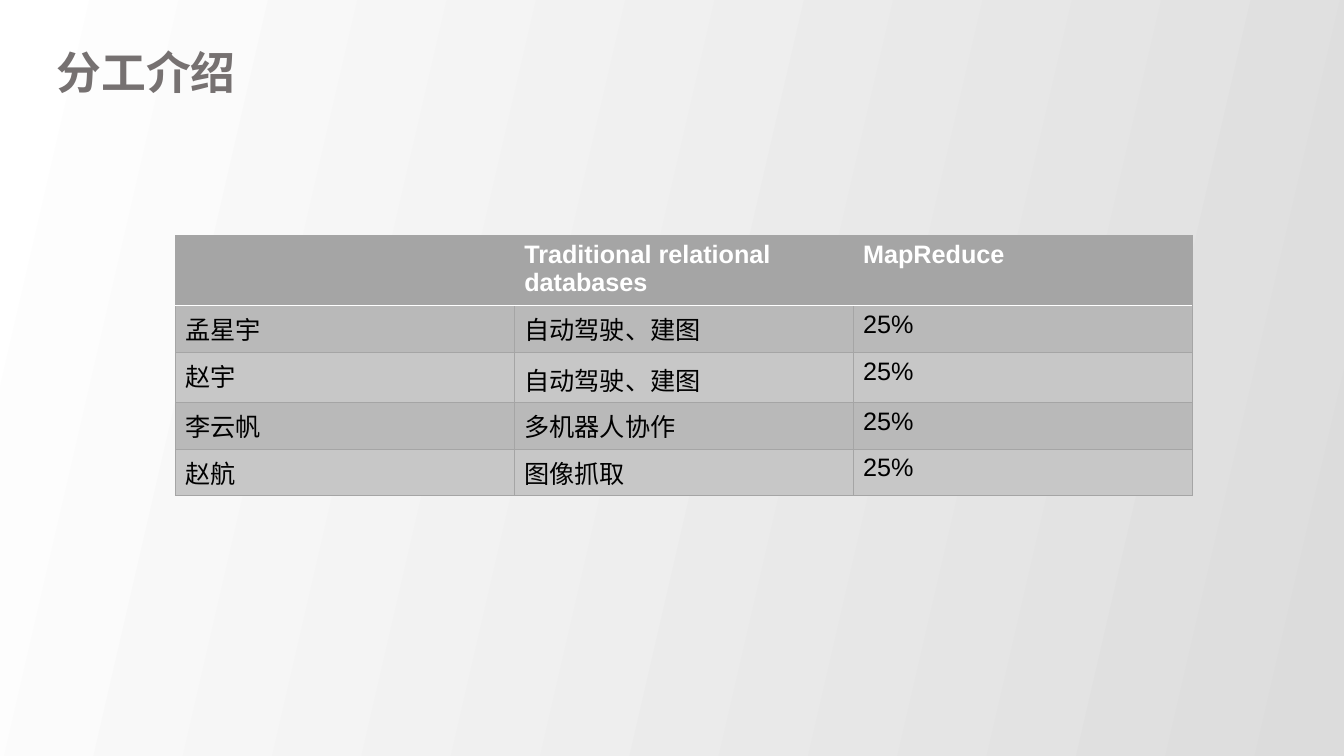
from dataclasses import dataclass
from lxml import etree
from pptx import Presentation, util as u
from pptx.dml.color import RGBColor
from pptx.enum import text
from pptx.oxml import ns

HEADING = "分工介绍"
HEADER = ("", "Traditional relational databases", "MapReduce")
MEMBERS = [
    ("孟星宇", "自动驾驶、建图", "25%"),
    ("赵宇", "自动驾驶、建图", "25%"),
    ("李云帆", "多机器人协作", "25%"),
    ("赵航", "图像抓取", "25%"),
]
LOOSE_CELL = (2, 1)
LOOSE_SPACING = 1.1


@dataclass(frozen=True)
class Theme:
    font: str = "Arial"
    heading_size: int = 32
    cell_size: int = 18
    heading: str = "767171"
    header_text: str = "FFFFFF"
    body_text: str = "000000"
    header_fill: str = "A5A5A5"
    bands: tuple = ("B9B9B9", "C7C7C7")
    border: str = "A5A5A5"
    rule: str = "FFFFFF"
    backdrop: tuple = ("FFFFFF", "DCDCDC")
    backdrop_angle: int = 347


THEME = Theme()


def write(frame, words, *, size, color, bold=False, spacing=None):
    paragraph = frame.paragraphs[0]
    paragraph.alignment = text.PP_ALIGN.LEFT
    if spacing:
        paragraph.line_spacing = spacing
    if not words:
        paragraph.font.size = u.Pt(size)
        return
    run = paragraph.add_run()
    run.text = words
    run.font.name = THEME.font
    run.font.size = u.Pt(size)
    run.font.bold = bold
    run.font.color.rgb = RGBColor.from_string(color)


def add_borders(cell, **edges):
    properties = cell._tc.get_or_add_tcPr()
    for position, side in enumerate("LRTB"):
        color, points = edges.get(side, (THEME.border, 0.5))
        line = etree.Element(ns.qn(f"a:ln{side}"), w=str(u.Pt(points)))
        fill = etree.SubElement(line, ns.qn("a:solidFill"))
        etree.SubElement(fill, ns.qn("a:srgbClr"), val=color)
        properties.insert(position, line)


def paint_backdrop(slide):
    fill = slide.background.fill
    fill.gradient()
    fill.gradient_angle = THEME.backdrop_angle
    for stop, color, position in zip(fill.gradient_stops, THEME.backdrop, (0, 1)):
        stop.color.rgb = RGBColor.from_string(color)
        stop.position = position


def add_heading(slide):
    heading = slide.shapes.title
    heading.left, heading.top = u.Cm(1.17), u.Cm(0.99)
    heading.width, heading.height = u.Cm(15.65), u.Cm(1.63)
    frame = heading.text_frame
    frame.word_wrap = True
    frame.auto_size = text.MSO_AUTO_SIZE.NONE
    frame.vertical_anchor = text.MSO_ANCHOR.MIDDLE
    write(frame, HEADING, size=THEME.heading_size, color=THEME.heading, bold=True)


def add_division(slide):
    rows = [HEADER, *MEMBERS]
    column_width, header_height, member_height = u.Cm(8.54), u.Cm(1.77), u.Cm(1.16)
    division = slide.shapes.add_table(
        len(rows), len(HEADER), u.Cm(4.42), u.Cm(5.93),
        column_width * len(HEADER), header_height + member_height * len(MEMBERS),
    ).table
    for column in division.columns:
        column.width = column_width
    for r, row in enumerate(rows):
        is_header = r == 0
        division.rows[r].height = header_height if is_header else member_height
        fill = THEME.header_fill if is_header else THEME.bands[(r - 1) % 2]
        edges = {0: {"B": (THEME.rule, 1)}, 1: {"T": (THEME.rule, 1)}}.get(r, {})
        for c, words in enumerate(row):
            cell = division.cell(r, c)
            cell.fill.solid()
            cell.fill.fore_color.rgb = RGBColor.from_string(fill)
            add_borders(cell, **edges)
            write(
                cell.text_frame, words, size=THEME.cell_size, bold=is_header,
                color=THEME.header_text if is_header else THEME.body_text,
                spacing=LOOSE_SPACING if (r, c) == LOOSE_CELL else None,
            )


def main():
    deck = Presentation()
    deck.slide_width, deck.slide_height = u.Cm(33.87), u.Cm(19.05)
    slide = deck.slides.add_slide(deck.slide_layouts.get_by_name("Title Only"))
    paint_backdrop(slide)
    add_heading(slide)
    add_division(slide)
    deck.save("out.pptx")


if __name__ == "__main__":
    main()
